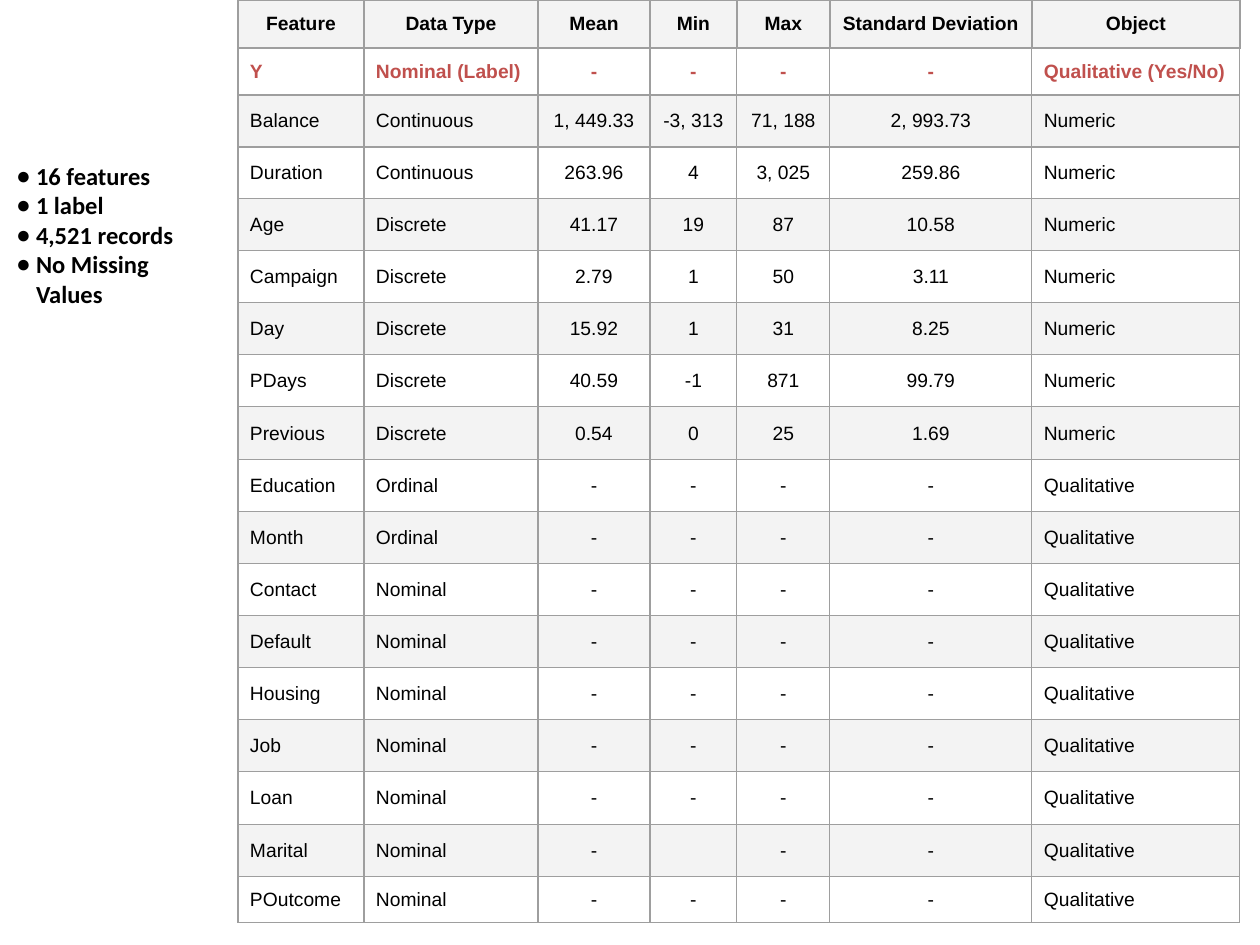
from dataclasses import dataclass

from lxml.etree import SubElement
from pptx import Presentation
from pptx.dml.color import RGBColor
from pptx.enum.text import MSO_ANCHOR as Anchor, MSO_AUTO_SIZE as AutoSize, PP_ALIGN as Align
from pptx.oxml import parse_xml
from pptx.oxml.ns import nsdecls, qn
from pptx.util import Emu, Pt

EMU_PER_PX = 914400 / 126
BLACK, RED, GREY, BORDER = "000000", "C0504D", "F3F3F3", "9E9E9E"
INSET = 12
TALLER_ROWS = (8, 15)  # one px more, so that the rows fill the table height


@dataclass
class Column:
    heading: str
    width: int
    align: Align = Align.LEFT


@dataclass
class RowStyle:
    height: int
    color: str = BLACK
    bold: bool = False
    shaded: bool = False
    top: float = 0.75
    other: float = 0.75


COLUMNS = [
    Column("Feature", 126),
    Column("Data Type", 174),
    Column("Mean", 112, Align.CENTER),
    Column("Min", 87, Align.CENTER),
    Column("Max", 93, Align.CENTER),
    Column("Standard Deviation", 202, Align.CENTER),
    Column("Object", 208),
]

NO_STATISTICS = ["-"] * 4
NUMERIC = [
    ("Balance", "Continuous", "1, 449.33", "-3, 313", "71, 188", "2, 993.73"),
    ("Duration", "Continuous", "263.96", "4", "3, 025", "259.86"),
    ("Age", "Discrete", "41.17", "19", "87", "10.58"),
    ("Campaign", "Discrete", "2.79", "1", "50", "3.11"),
    ("Day", "Discrete", "15.92", "1", "31", "8.25"),
    ("PDays", "Discrete", "40.59", "-1", "871", "99.79"),
    ("Previous", "Discrete", "0.54", "0", "25", "1.69"),
]
QUALITATIVE = {
    "Ordinal": ["Education", "Month"],
    "Nominal": ["Contact", "Default", "Housing", "Job", "Loan", "Marital", "POutcome"],
}
SUMMARY = ["16 features", "1 label", "4,521 records", "No Missing Values"]


def px(length: int) -> Emu:
    return Emu(round(length * EMU_PER_PX))


def rgb(color: str) -> RGBColor:
    return RGBColor.from_string(color)


def add_run(paragraph, text: str, font: str, size: int, color: str, bold: bool) -> None:
    run = paragraph.add_run()
    run.text = text
    run.font.name = font
    run.font.size = Pt(size)
    run.font.bold = bold
    run.font.color.rgb = rgb(color)


def table_rows() -> list[list[str]]:
    rows = [[column.heading for column in COLUMNS]]
    rows.append(["Y", "Nominal (Label)", *NO_STATISTICS, "Qualitative (Yes/No)"])
    rows += [[*values, "Numeric"] for values in NUMERIC]
    for data_type, features in QUALITATIVE.items():
        for feature in features:
            rows.append([feature, data_type, *NO_STATISTICS, "Qualitative"])
            if feature == "Marital":
                rows[-1][3] = ""
    return rows


def row_style(index: int, count: int) -> RowStyle:
    if index == 0:
        return RowStyle(48, bold=True, shaded=True, top=1.5, other=1.5)
    if index == 1:
        return RowStyle(47, color=RED, bold=True, top=1.5)
    height = 46 if index == count - 1 else 53 if index in TALLER_ROWS else 52
    return RowStyle(height, shaded=index % 2 == 0)


def set_borders(cell, style: RowStyle) -> None:
    properties = cell._tc.get_or_add_tcPr()
    for position, side in enumerate("LRTB"):
        width = Pt(style.top if side == "T" else style.other)
        properties.insert(position, parse_xml(
            f'<a:ln{side} {nsdecls("a")} w="{width}"><a:solidFill>'
            f'<a:srgbClr val="{BORDER}"/></a:solidFill></a:ln{side}>'))


def fill_cell(cell, text: str, align: Align, style: RowStyle) -> None:
    if style.shaded:
        cell.fill.solid()
        cell.fill.fore_color.rgb = rgb(GREY)
    else:
        cell.fill.background()
    set_borders(cell, style)
    if text:
        cell.vertical_anchor = Anchor.MIDDLE
        cell.margin_left = cell.margin_right = px(INSET)
        cell.margin_top = cell.margin_bottom = px(INSET)
        paragraph = cell.text_frame.paragraphs[0]
        paragraph.alignment = align
        add_run(paragraph, text, "Arial", 11, style.color, style.bold)


def add_feature_table(slide, left: int, top: int) -> None:
    rows = table_rows()
    styles = [row_style(index, len(rows)) for index in range(len(rows))]
    width = sum(column.width for column in COLUMNS)
    height = sum(style.height for style in styles)
    table = slide.shapes.add_table(
        len(rows), len(COLUMNS), px(left), px(top), px(width), px(height)).table
    table.first_row = table.horz_banding = False
    for index, column in enumerate(COLUMNS):
        table.columns[index].width = px(column.width)
    for row_index, (texts, style) in enumerate(zip(rows, styles)):
        table.rows[row_index].height = px(style.height)
        for column_index, (text, column) in enumerate(zip(texts, COLUMNS)):
            align = Align.CENTER if row_index == 0 else column.align
            fill_cell(table.cell(row_index, column_index), text, align, style)


def set_bullet(paragraph, margin: int, indent: int) -> None:
    properties = paragraph._p.get_or_add_pPr()
    properties.set("marL", str(px(margin)))
    properties.set("indent", str(px(indent)))
    bullet_color = SubElement(properties, qn("a:buClr"))
    SubElement(bullet_color, qn("a:srgbClr"), val=BLACK)
    SubElement(properties, qn("a:buChar"), char="●")


def fill_summary(body) -> None:
    body.left, body.top, body.width, body.height = px(0), px(98), px(193), px(708)
    frame = body.text_frame
    frame.word_wrap = True
    frame.auto_size = AutoSize.NONE
    frame.vertical_anchor = Anchor.TOP
    frame.margin_left = frame.margin_right = frame.margin_bottom = px(INSET)
    frame.margin_top = px(63)
    for index, text in enumerate(SUMMARY):
        paragraph = frame.add_paragraph() if index else frame.paragraphs[0]
        paragraph.alignment = Align.LEFT
        paragraph.line_spacing = 1.0
        paragraph.space_before = paragraph.space_after = Pt(0)
        set_bullet(paragraph, 24, -20)
        add_run(paragraph, text, "Calibri", 14, BLACK, True)


def main() -> None:
    presentation = Presentation()
    presentation.slide_width, presentation.slide_height = px(1260), px(945)
    slide = presentation.slides.add_slide(presentation.slide_layouts[1])

    # The slide has no title
    title = slide.shapes.title.element
    title.getparent().remove(title)

    # Dataset summary at the left, feature table at the right
    fill_summary(slide.placeholders[1])
    add_feature_table(slide, 238, 0)

    presentation.save("out.pptx")


if __name__ == "__main__":
    main()
